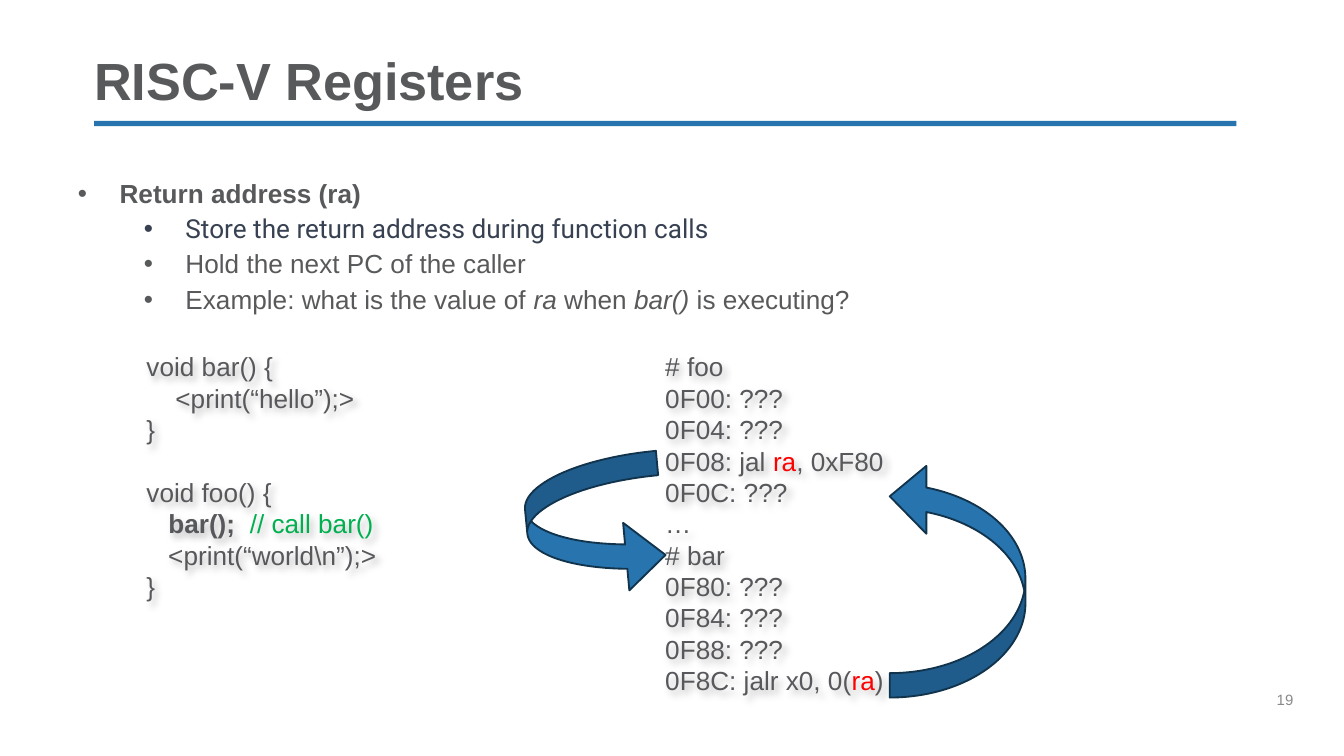
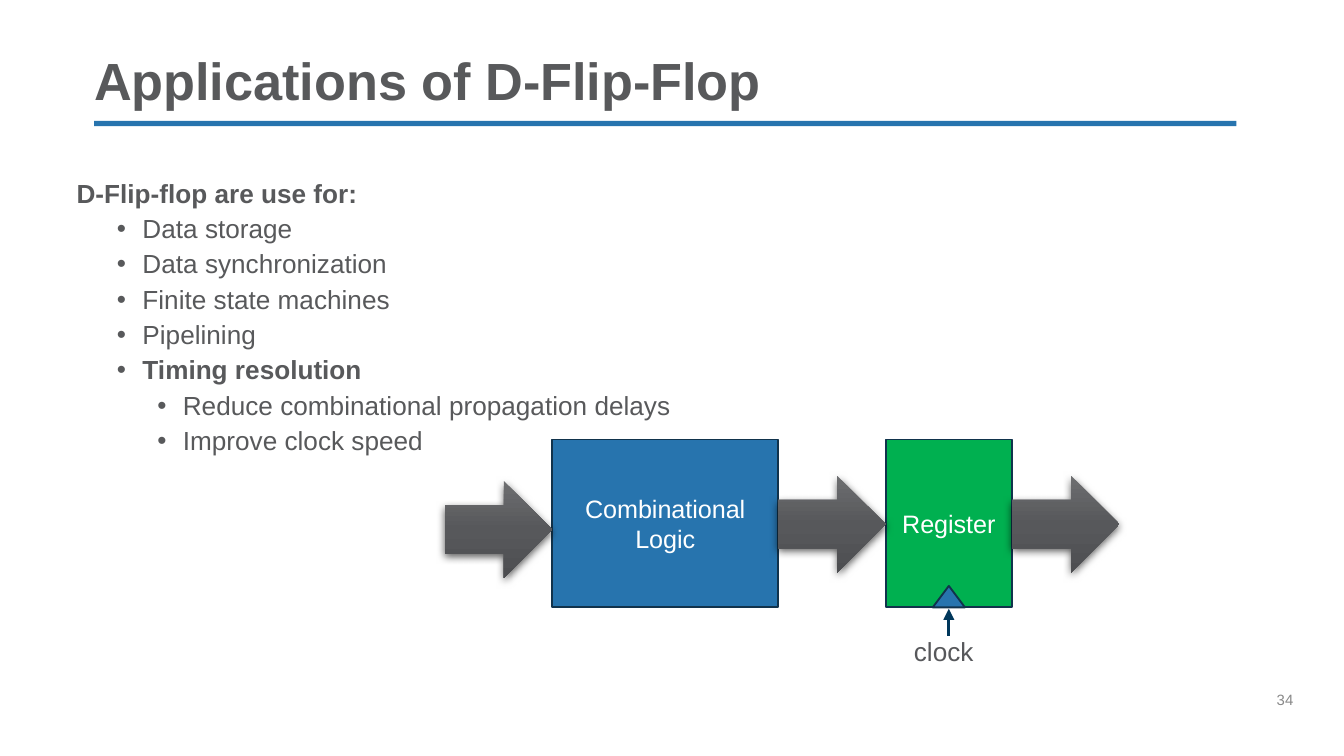
"""Build two lecture slides: RISC-V return address and D-flip-flop applications."""
from pptx import Presentation
from pptx.dml.color import RGBColor
from pptx.enum.shapes import MSO_CONNECTOR, MSO_SHAPE
from pptx.enum.text import MSO_ANCHOR, MSO_AUTO_SIZE, PP_ALIGN
from pptx.oxml import parse_xml
from pptx.oxml.ns import nsdecls, qn
from pptx.util import Pt

PX = 9144
SLIDE_WIDTH = 1000 * PX
SLIDE_HEIGHT = SLIDE_WIDTH * 9 // 16

RECTANGLE = MSO_SHAPE.RECTANGLE
RIGHT_ARROW = MSO_SHAPE.RIGHT_ARROW
CURVED_ARROW = MSO_SHAPE.CURVED_UP_ARROW
TRIANGLE = MSO_SHAPE.ISOSCELES_TRIANGLE
STRAIGHT = MSO_CONNECTOR.STRAIGHT
TOP, MIDDLE, BOTTOM = MSO_ANCHOR.TOP, MSO_ANCHOR.MIDDLE, MSO_ANCHOR.BOTTOM
LEFT, CENTER = PP_ALIGN.LEFT, PP_ALIGN.CENTER
FIT_SHAPE = MSO_AUTO_SIZE.SHAPE_TO_FIT_TEXT

BLUE = RGBColor(0x27, 0x74, 0xAE)
GREEN = RGBColor(0x00, 0xB0, 0x50)
RED = RGBColor(0xFF, 0x00, 0x00)
WHITE = RGBColor(0xFF, 0xFF, 0xFF)
OUTLINE = RGBColor(0x11, 0x33, 0x4C)
NAVY = RGBColor(0x00, 0x37, 0x5B)
SLATE = RGBColor(0x37, 0x41, 0x51)
HEADING_GRAY = RGBColor(0x58, 0x59, 0x5B)
TEXT_GRAY = RGBColor(0x57, 0x58, 0x5B)
NUMBER_GRAY = RGBColor(0x89, 0x89, 0x89)
GRADIENT = ((0, "6D6E70"), (50, "57585B"), (100, "4D4E51"))

FONT = "Arial"
TITLE_BOX = (70, 41, 850, 42)
TITLE_RULE = (70, 90, 850, 4)
NUMBER_BOX = (950, 520, 50, 40)

BOLD = {"bold": True}
ITALIC = {"italic": True}
RA = ("ra", {"color": RED})

REGISTERS = {
    "title": "RISC-V Registers",
    "number": "19",
    "body_box": (58, 132, 892, 139),
    "indents": ((31, 31), (80, 31)),
    "bullets": [
        (0, [("Return address (ra)", BOLD)]),
        (1, [("Store the return address during function calls",
              {"font": "Roboto", "color": SLATE})]),
        (1, ["Hold the next PC of the caller"]),
        (1, ["Example: what is the value of ", ("ra", ITALIC), " when ",
             ("bar()", ITALIC), " is executing?"]),
    ],
}
SOURCE_BLOCKS = [
    [["void bar() {"], ["    <print(“hello”);>"], ["}"]],
    [["void foo() {"],
     ["   ", ("bar();  ", BOLD), ("// call bar()", {"color": GREEN})],
     ["   <print(“world\\n”);>"], ["}"]],
]
ASSEMBLY_BLOCKS = [
    [["# foo"], ["0F00: ???"], ["0F04: ???"], ["0F08: jal ", RA, ", 0xF80"],
     ["0F0C: ???"], ["…"], ["# bar"], ["0F80: ???"], ["0F84: ???"],
     ["0F88: ???"], ["0F8C: jalr x0, 0(", RA, ")"]],
]
CODE_BOXES = [((109, 261, 220, 188), SOURCE_BLOCKS),
              ((495, 261, 220, 259), ASSEMBLY_BLOCKS)]
JUMP_ARROWS = [((391, 341, 103, 101), 84.7, 0.29),
               ((625, 381, 175, 101), 270, 0.27)]

FLIP_FLOP = {
    "title": "Applications of D-Flip-Flop",
    "number": "34",
    "body_box": (57, 132, 892, 211),
    "indents": (None, (49, 19), (79, 19)),
    "bullets": [
        (0, [("D-Flip-flop are use for:", BOLD)]),
        (1, ["Data storage"]),
        (1, ["Data synchronization"]),
        (1, ["Finite state machines"]),
        (1, ["Pipelining"]),
        (1, [("Timing resolution", BOLD)]),
        (2, ["Reduce combinational propagation delays"]),
        (2, ["Improve clock speed"]),
    ],
}
PIPELINE_LEFT, PIPELINE_TOP, STAGE_HEIGHT = 331, 327, 125
STAGES = [("Combinational Logic", 168, BLUE), ("Register", 94, GREEN)]
FLOW_WIDTH, FLOW_HEIGHT = 80, 72
FLOW_TOPS = (358, 354, 354)


def scaled(box):
    return [value * PX for value in box]


def write_runs(paragraph, runs, size, color):
    for entry in runs:
        text, style = (entry, {}) if isinstance(entry, str) else entry
        run = paragraph.add_run()
        run.text = text
        run.font.size = Pt(size)
        run.font.name = style.get("font", FONT)
        run.font.bold = style.get("bold", False)
        run.font.italic = style.get("italic", False)
        run.font.color.rgb = style.get("color", color)


def prepare_frame(shape, anchor=TOP, bottom=0):
    frame = shape.text_frame
    frame.word_wrap = True
    frame.auto_size = FIT_SHAPE
    frame.vertical_anchor = anchor
    frame.margin_left = frame.margin_right = frame.margin_top = 0
    frame.margin_bottom = bottom * PX
    return frame


def place(shape, box):
    shape.left, shape.top, shape.width, shape.height = scaled(box)


def paragraphs_for(frame, items):
    for index, item in enumerate(items):
        yield (frame.add_paragraph() if index else frame.paragraphs[0]), item


def set_bullet(paragraph, indent):
    properties = paragraph._p.get_or_add_pPr()
    margin, hanging = indent or (0, 0)
    properties.set("marL", str(margin * PX))
    properties.set("indent", str(-hanging * PX))
    bullet = '<a:buChar {} char="•"/>' if indent else "<a:buNone {}/>"
    properties.append(parse_xml(bullet.format(nsdecls("a"))))


def add_box_text(slide, box, runs, size, color, bottom=0):
    frame = prepare_frame(slide.shapes.add_textbox(*scaled(box)), bottom=bottom)
    write_runs(frame.paragraphs[0], runs, size, color)


def add_filled(slide, kind, box, color, outlined=True):
    shape = slide.shapes.add_shape(kind, *scaled(box))
    shape.shadow.inherit = False
    shape.fill.solid()
    shape.fill.fore_color.rgb = color
    if outlined:
        shape.line.color.rgb = OUTLINE
        shape.line.width = Pt(1)
    else:
        shape.line.fill.background()
    return shape


def add_shadow(shape, blur, distance, degrees, opacity):
    shape.shadow.inherit = False
    shape.element.spPr.find(qn("a:effectLst")).append(parse_xml(
        f'<a:outerShdw {nsdecls("a")} blurRad="{Pt(blur)}" dist="{Pt(distance)}" '
        f'dir="{degrees * 60000}" algn="tl" rotWithShape="0"><a:srgbClr val="000000">'
        f'<a:alpha val="{opacity * 1000}"/></a:srgbClr></a:outerShdw>'))


def add_slide(presentation, content):
    slide = presentation.slides.add_slide(presentation.slide_layouts[1])
    title, body = slide.placeholders
    place(title, TITLE_BOX)
    paragraph = prepare_frame(title, BOTTOM).paragraphs[0]
    paragraph.alignment = LEFT
    paragraph.line_spacing = 0.9
    write_runs(paragraph, [(content["title"], BOLD)], 28, HEADING_GRAY)

    place(body, content["body_box"])
    for paragraph, (level, runs) in paragraphs_for(prepare_frame(body), content["bullets"]):
        paragraph.level = level
        paragraph.line_spacing = 0.9 if level else 1.0
        paragraph.space_before = Pt(3.8 if level else 0)
        set_bullet(paragraph, content["indents"][level])
        write_runs(paragraph, runs, 14, HEADING_GRAY)

    add_box_text(slide, NUMBER_BOX, [content["number"]], 8, NUMBER_GRAY, bottom=26)
    return slide


def add_code(slide, box, blocks):
    shape = slide.shapes.add_textbox(*scaled(box))
    lines = [(index, runs) for block in blocks for index, runs in enumerate(block)]
    frame = prepare_frame(shape)
    for paragraph, (index, runs) in paragraphs_for(frame, lines):
        if index == 0 and paragraph._p is not frame.paragraphs[0]._p:
            paragraph.space_before = Pt(16.8)
        write_runs(paragraph, runs, 14, TEXT_GRAY)
    add_shadow(shape, 4, 3, 45, 25)


def add_flow_arrow(slide, left, top):
    arrow = add_filled(slide, RIGHT_ARROW, (left, top, FLOW_WIDTH, FLOW_HEIGHT),
                       TEXT_GRAY, outlined=False)
    stops = "".join(f'<a:gs pos="{position * 1000}"><a:srgbClr val="{color}"/></a:gs>'
                    for position, color in GRADIENT)
    properties = arrow.element.spPr
    properties.replace(properties.find(qn("a:solidFill")), parse_xml(
        f'<a:gradFill {nsdecls("a")} rotWithShape="1"><a:gsLst>{stops}</a:gsLst>'
        '<a:lin ang="5400000" scaled="0"/></a:gradFill>'))
    add_shadow(arrow, 4.5, 1.5, 90, 63)


def add_clock(slide, center, bottom):
    add_box_text(slide, (center - 26, bottom + 21, 52, 24), ["clock"], 14, TEXT_GRAY)
    add_filled(slide, TRIANGLE, (center - 12, bottom - 16, 24, 16), BLUE)
    line = slide.shapes.add_connector(
        STRAIGHT, *scaled((center, bottom + 21, center, bottom + 1)))
    line.line.color.rgb = NAVY
    line.line.width = Pt(1.5)
    line.line._get_or_add_ln().append(
        parse_xml(f'<a:tailEnd {nsdecls("a")} type="triangle"/>'))
    line.element.spPr.append(parse_xml(f'<a:effectLst {nsdecls("a")}/>'))


def add_pipeline(slide):
    left = PIPELINE_LEFT
    flow_lefts = [left]
    for label, width, color in STAGES:
        left += FLOW_WIDTH
        stage = add_filled(slide, RECTANGLE, (left, PIPELINE_TOP, width, STAGE_HEIGHT), color)
        frame = stage.text_frame
        frame.word_wrap = True
        frame.vertical_anchor = MIDDLE
        frame.paragraphs[0].alignment = CENTER
        write_runs(frame.paragraphs[0], [label], 13.5, WHITE)
        center = left + width // 2
        left += width
        flow_lefts.append(left)
    for flow_left, flow_top in zip(flow_lefts, FLOW_TOPS):
        add_flow_arrow(slide, flow_left, flow_top)
    add_clock(slide, center, PIPELINE_TOP + STAGE_HEIGHT)


def main():
    presentation = Presentation()
    presentation.slide_width, presentation.slide_height = SLIDE_WIDTH, SLIDE_HEIGHT

    slide = add_slide(presentation, REGISTERS)
    rule = add_filled(slide, RECTANGLE, TITLE_RULE, BLUE, outlined=False)
    slide.slide_layout.shapes.element.append(rule.element)
    for box, blocks in CODE_BOXES:
        add_code(slide, box, blocks)
    for box, rotation, head in JUMP_ARROWS:
        arrow = add_filled(slide, CURVED_ARROW, box, BLUE)
        arrow.rotation = rotation
        for index, value in enumerate((0.18, 0.5, head)):
            arrow.adjustments[index] = value

    add_pipeline(add_slide(presentation, FLIP_FLOP))
    presentation.save("out.pptx")


if __name__ == "__main__":
    main()
